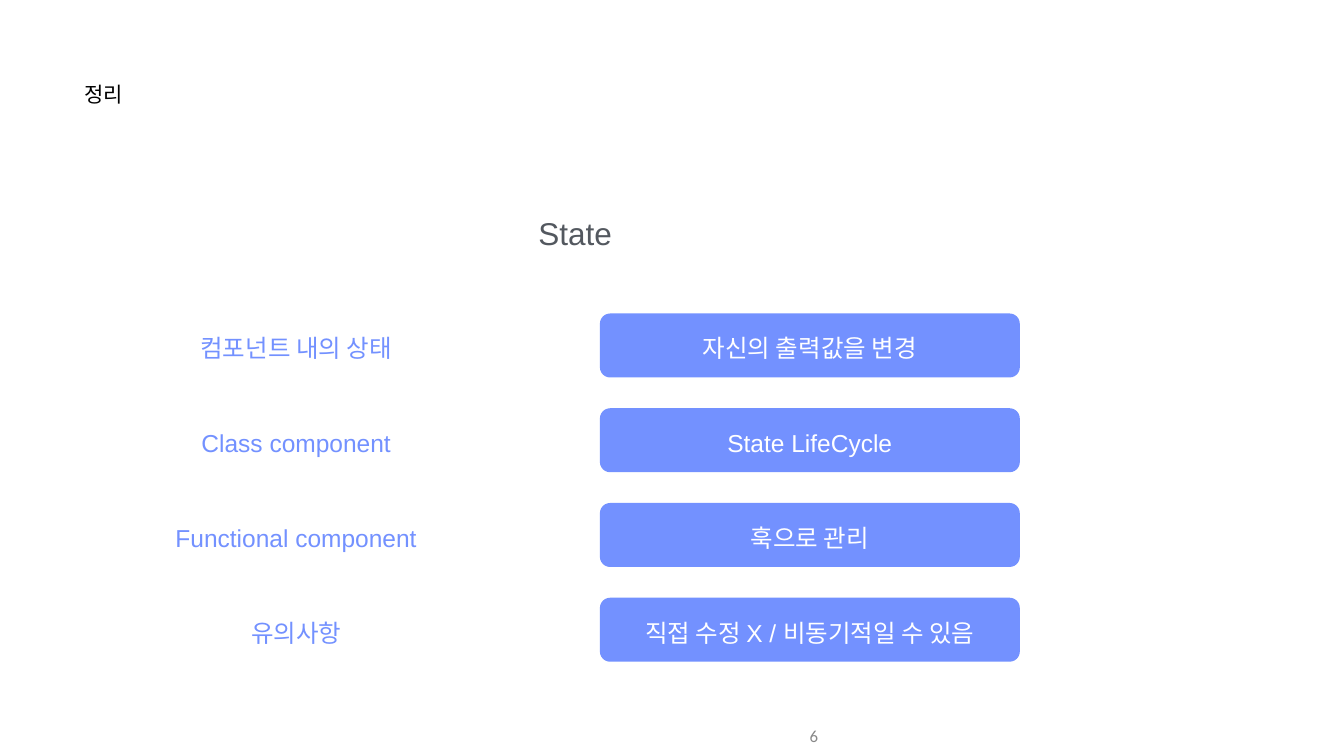
import dataclasses

import pptx
import pptx.dml.color
import pptx.enum.shapes
import pptx.enum.text
import pptx.util

Inches = pptx.util.Inches
Align = pptx.enum.text.PP_ALIGN
Anchor = pptx.enum.text.MSO_ANCHOR


@dataclasses.dataclass(frozen=True)
class Theme:
    """Colours, fonts and type sizes of the slide."""
    accent: str = "7391FF"
    white: str = "FFFFFF"
    black: str = "000000"
    heading_grey: str = "53585F"
    number_grey: str = "888888"
    font: str = "Arial"
    number_font: str = "Calibri"
    title_size: int = 30
    heading_size: int = 45
    row_size: int = 35
    number_size: int = 24


THEME = Theme()
ROWS = [
    ("컴포넌트 내의 상태", "자신의 출력값을 변경"),
    ("Class component", "State LifeCycle"),
    ("Functional component", "훅으로 관리"),
    ("유의사항", "직접 수정 X / 비동기적일 수 있음"),
]
ROW_PITCH = 1.88
ROW_HEIGHT = 1.27
LABEL_WIDTH = 6.25
CARD_OFFSET = 9.15
CARD_WIDTH = 8.33
TEXT_DROP = 0.11


def apply_format(target, values):
    """Set each attribute of the target from a dict."""
    for name, value in values.items():
        setattr(target, name, value)


def write_text(holder, text, size, colour, align, anchor, font=THEME.font,
               margins=(0.01, 0.01, 0.01, 0.01)):
    """Write one formatted paragraph into a shape."""
    left, top, right, bottom = map(Inches, margins)
    frame = holder.text_frame
    apply_format(frame, {
        "word_wrap": True, "auto_size": pptx.enum.text.MSO_AUTO_SIZE.NONE,
        "vertical_anchor": anchor, "margin_left": left, "margin_top": top,
        "margin_right": right, "margin_bottom": bottom,
    })
    paragraph = frame.paragraphs[0]
    paragraph.alignment = align
    run = paragraph.add_run()
    run.text = text
    apply_format(run.font, {"name": font, "size": pptx.util.Pt(size)})
    run.font.color.rgb = pptx.dml.color.RGBColor.from_string(colour)


def place_title(slide, box):
    """Move the title placeholder into its box and fill it."""
    title = slide.shapes.title
    apply_format(title, dict(zip(("left", "top", "width", "height"), map(Inches, box))))
    write_text(title, "정리", THEME.title_size, THEME.black, Align.LEFT, Anchor.TOP)


def place_heading(slide, box):
    """Place the centred topic heading."""
    heading = slide.shapes.add_textbox(*map(Inches, box))
    write_text(heading, "State", THEME.heading_size, THEME.heading_grey,
               Align.CENTER, Anchor.TOP)


def place_row(slide, box, label_text, card_text):
    """Place a label and its filled card side by side."""
    left, top, width, height = box
    margins = (0.01, TEXT_DROP, 0.01, 0.01)
    label = slide.shapes.add_textbox(*map(Inches, (left, top, LABEL_WIDTH, height)))
    write_text(label, label_text, THEME.row_size, THEME.accent,
               Align.CENTER, Anchor.MIDDLE, margins=margins)

    card = slide.shapes.add_shape(
        pptx.enum.shapes.MSO_SHAPE.ROUNDED_RECTANGLE,
        *map(Inches, (left + CARD_OFFSET, top, width - CARD_OFFSET, height)))
    card.adjustments[0] = 0.16
    card.shadow.inherit = False
    card.fill.solid()
    card.fill.fore_color.rgb = pptx.dml.color.RGBColor.from_string(THEME.accent)
    card.line.fill.background()
    write_text(card, card_text, THEME.row_size, THEME.white,
               Align.CENTER, Anchor.MIDDLE, margins=margins)


def place_summary(slide, box):
    """Stack the summary rows at an equal pitch."""
    left, top, width, height = box
    for index, (label_text, card_text) in enumerate(ROWS):
        place_row(slide, (left, top + index * ROW_PITCH, width, ROW_HEIGHT),
                  label_text, card_text)


def place_page_number(slide, box):
    """Place the page number at the foot of the slide."""
    number = slide.shapes.add_textbox(*map(Inches, box))
    write_text(number, "6", THEME.number_size, THEME.number_grey, Align.RIGHT,
               Anchor.MIDDLE, THEME.number_font, (0.1, 0.05, 0.1, 0.05))


def main():
    """Build the summary slide and save it."""
    deck = pptx.Presentation()
    apply_format(deck, {"slide_width": Inches(26.66), "slide_height": Inches(15)})
    slide = deck.slides.add_slide(deck.slide_layouts.get_by_name("Title Only"))
    place_title(slide, (1.67, 1.6, 4.86, 1.18))
    place_heading(slide, (2.64, 4.24, 17.54, 0.79))
    place_summary(slide, (2.75, 6.22, CARD_OFFSET + CARD_WIDTH,
                          ROW_PITCH * (len(ROWS) - 1) + ROW_HEIGHT))
    place_page_number(slide, (10.33, 14.21, 6, 0.79))
    deck.save("out.pptx")


if __name__ == "__main__":
    main()
